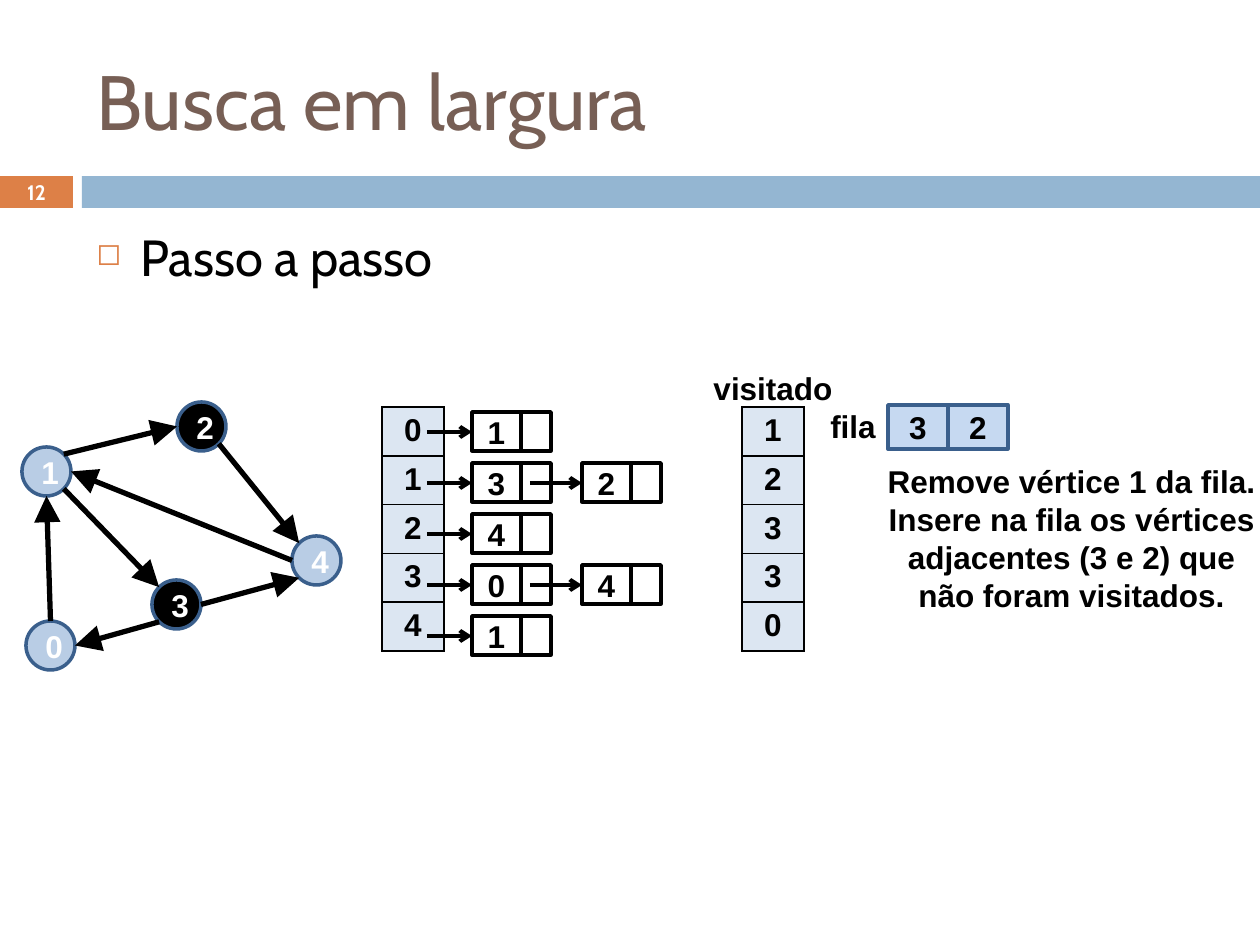
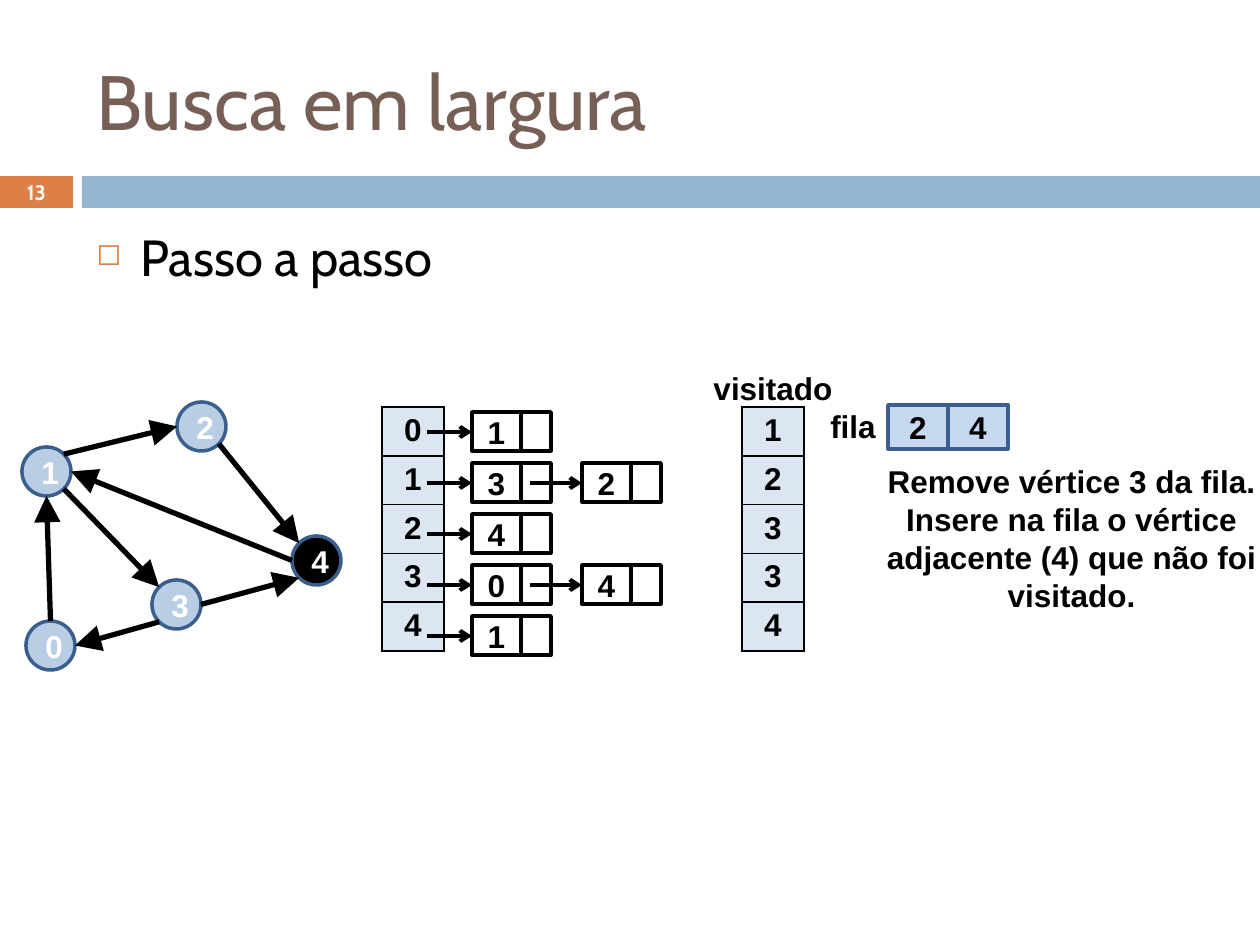
from dataclasses import dataclass

from lxml import etree
from pptx import Presentation
from pptx.dml.color import RGBColor
from pptx.enum.shapes import MSO_CONNECTOR, MSO_SHAPE
from pptx.enum.text import MSO_ANCHOR, PP_ALIGN
from pptx.oxml.ns import qn
from pptx.util import Pt

PX = 914400 / 126
STRAIGHT = MSO_CONNECTOR.STRAIGHT
RECT, OVAL = MSO_SHAPE.RECTANGLE, MSO_SHAPE.OVAL
LEFT, CENTER = PP_ALIGN.LEFT, PP_ALIGN.CENTER
TOP, MIDDLE = MSO_ANCHOR.TOP, MSO_ANCHOR.MIDDLE


@dataclass(frozen=True)
class Theme:
    heading_font: str = "Cabin"
    diagram_font: str = "Arial"
    title_size: float = 44
    body_size: float = 29
    diagram_size: float = 18
    number_size: float = 12
    title: str = "775F55"
    accent: str = "DD8047"
    band: str = "94B6D2"
    ink: str = "000000"
    paper: str = "FFFFFF"
    node: str = "B9CDE5"
    outline: str = "3A5F8C"
    array: str = "DCE6F2"
    queue: str = "C6D9F1"


# Vertices: left and top of each circle
NODE_SIZE = 49
NODES = {0: (26, 621), 1: (22, 447), 2: (177, 402), 3: (152, 580), 4: (292, 536)}
DIAGONAL = 0.5 ** 0.5
SITES = {
    "N": (0, -1), "S": (0, 1), "E": (1, 0), "W": (-1, 0),
    "NE": (DIAGONAL, -DIAGONAL), "NW": (-DIAGONAL, -DIAGONAL),
    "SE": (DIAGONAL, DIAGONAL), "SW": (-DIAGONAL, DIAGONAL),
}
EDGES = [
    (0, "N", 1, "S"), (1, "NE", 2, "W"), (1, "SE", 3, "NW"), (2, "SE", 4, "NW"),
    (3, "E", 4, "SW"), (3, "SW", 0, "E"), (4, "W", 1, "E"),
]
ADJACENCY = [[1], [3, 2], [4], [0, 4], [1]]

STEPS = [
    dict(number=12, inserted={2, 3}, visited=[1, 2, 3, 3, 0], queue=[3, 2],
         message=["Remove vértice 1 da fila.",
                  "Insere na fila os vértices adjacentes (3 e 2) que não foram visitados."]),
    dict(number=13, inserted={4}, visited=[1, 2, 3, 3, 4], queue=[2, 4],
         message=["Remove vértice 3 da fila.",
                  "Insere na fila o vértice adjacente (4) que não foi visitado."]),
]


def px(*lengths):
    return [round(length * PX) for length in lengths]


def rgb(color):
    return RGBColor.from_string(color)


def add_xml(parent, tag, **attributes):
    return etree.SubElement(parent, qn(tag), attributes)


class Deck:
    def __init__(self, theme):
        self.theme = theme
        self.presentation = Presentation()
        self.presentation.slide_width, self.presentation.slide_height = px(1260, 945)
        self.slide = None

    def new_slide(self):
        self.slide = self.presentation.slides.add_slide(self.presentation.slide_layouts[6])

    def set_text(self, frame, lines, size=None, color=None, font=None, bold=True, align=CENTER):
        theme = self.theme
        frame.text = "\n".join(lines)
        for paragraph in frame.paragraphs:
            paragraph.alignment = align
            for run in paragraph.runs:
                run.font.name = font or theme.diagram_font
                run.font.size = Pt(size or theme.diagram_size)
                run.font.bold = bold
                run.font.color.rgb = rgb(color or theme.ink)

    def text(self, lines, box, anchor=TOP, **style):
        frame = self.slide.shapes.add_textbox(*px(*box)).text_frame
        frame.word_wrap = True
        frame.vertical_anchor = anchor
        self.set_text(frame, lines, **style)
        return frame

    def shape(self, kind, box, fill, outline=None, label="", **style):
        shape = self.slide.shapes.add_shape(kind, *px(*box))
        shape.shadow.inherit = False
        shape.fill.solid()
        shape.fill.fore_color.rgb = rgb(fill)
        if outline:
            shape.line.color.rgb = rgb(outline)
            shape.line.width = Pt(2)
        else:
            shape.line.fill.background()
        if label:
            shape.text_frame.vertical_anchor = MIDDLE
            self.set_text(shape.text_frame, [label], **style)
        return shape

    def arrow(self, start, end, width, head, head_size):
        connector = self.slide.shapes.add_connector(STRAIGHT, *px(*start, *end))
        connector.line.color.rgb = rgb(self.theme.ink)
        connector.line.width = Pt(width)
        properties = connector.element.spPr
        add_xml(properties.find(qn("a:ln")), "a:tailEnd", type=head, w=head_size, len=head_size)
        add_xml(properties, "a:effectLst")

    def column(self, values, left, top, width=62, row_height=48):
        """Draw an array as a table with one column."""
        table = self.slide.shapes.add_table(
            len(values), 1, *px(left, top, width, row_height * len(values))).table
        table.first_row = table.horz_banding = False
        for row, value in enumerate(values):
            table.rows[row].height = px(row_height)[0]
            cell = table.cell(row, 0)
            cell.margin_top, cell.margin_bottom = px(6, 5)
            self.set_text(cell.text_frame, [str(value)])
            properties = cell._tc.get_or_add_tcPr()
            for side in ("a:lnL", "a:lnR", "a:lnT", "a:lnB"):
                border = add_xml(properties, side, w=str(Pt(1)))
                add_xml(add_xml(border, "a:solidFill"), "a:srgbClr", val=self.theme.ink)
            cell.fill.solid()
            cell.fill.fore_color.rgb = rgb(self.theme.array)

    def bullet(self, line, box):
        frame = self.text([line], box, size=self.theme.body_size,
                          font=self.theme.heading_font, bold=False, align=LEFT)
        properties = frame.paragraphs[0]._p.get_or_add_pPr()
        indent = px(44)[0]
        properties.set("marL", str(indent))
        properties.set("indent", str(-indent))
        add_xml(add_xml(properties, "a:buClr"), "a:srgbClr", val=self.theme.accent)
        add_xml(properties, "a:buSzPct", val="60000")
        add_xml(properties, "a:buChar", char="◻")

    def header(self, title, number):
        theme = self.theme
        self.shape(RECT, (0, 176, 73, 32), theme.accent, label=str(number),
                   size=theme.number_size, color=theme.paper, font=theme.heading_font)
        self.shape(RECT, (82, 176, 1178, 32), theme.band)
        self.text([title], (84, 32, 1124, 136), anchor=MIDDLE, size=theme.title_size,
                  color=theme.title, font=theme.heading_font, bold=False, align=LEFT)

    def list_item(self, value, left, top):
        """Draw a linked-list item: its value and its link cell."""
        theme = self.theme
        cells = [self.shape(RECT, (left, top, 49, 39), theme.paper, theme.ink, str(value)),
                 self.shape(RECT, (left + 49, top, 30, 39), theme.paper, theme.ink)]
        self.slide.shapes.add_group_shape(cells)


def site_point(node, site):
    radius = NODE_SIZE / 2
    return [corner + radius * (1 + shift) for corner, shift in zip(NODES[node], SITES[site])]


def draw_graph(deck, inserted):
    theme = deck.theme
    for node, corner in NODES.items():
        fill = theme.ink if node in inserted else theme.node
        deck.shape(OVAL, (*corner, NODE_SIZE, NODE_SIZE), fill, theme.outline,
                   str(node), color=theme.paper)
    for source, exit_site, target, entry_site in EDGES:
        deck.arrow(site_point(source, exit_site), site_point(target, entry_site),
                   3, "triangle", "lg")


def draw_adjacency(deck):
    deck.column(range(len(ADJACENCY)), 382, 407)
    for row, neighbours in enumerate(ADJACENCY):
        top = 412 + 51 * row
        lefts = [472 + 110 * place for place in range(len(neighbours))]
        for left, neighbour in zip(lefts, neighbours):
            deck.list_item(neighbour, left, top)
        for left in lefts:
            tail = left - (45 if left == lefts[0] else 52)
            deck.arrow((tail, top + 20), (left, top + 20), 2.25, "arrow", "med")


def draw_state(deck, visited, queue, message):
    theme = deck.theme
    deck.column(visited, 742, 407)
    deck.text(["visitado"], (689, 363, 168, 50))
    deck.text(message, (868, 456, 407, 165))
    deck.text(["fila"], (769, 401, 168, 50))
    for place, vertex in enumerate(queue):
        deck.shape(RECT, (888 + 60 * place, 405, 60, 44), theme.queue, theme.outline, str(vertex))


def main():
    deck = Deck(Theme())
    for step in STEPS:
        deck.new_slide()
        deck.header("Busca em largura", step["number"])
        deck.bullet("Passo a passo", (84, 220, 1124, 620))
        draw_graph(deck, step["inserted"])
        draw_adjacency(deck)
        draw_state(deck, step["visited"], step["queue"], step["message"])
    deck.presentation.save("out.pptx")


if __name__ == "__main__":
    main()
